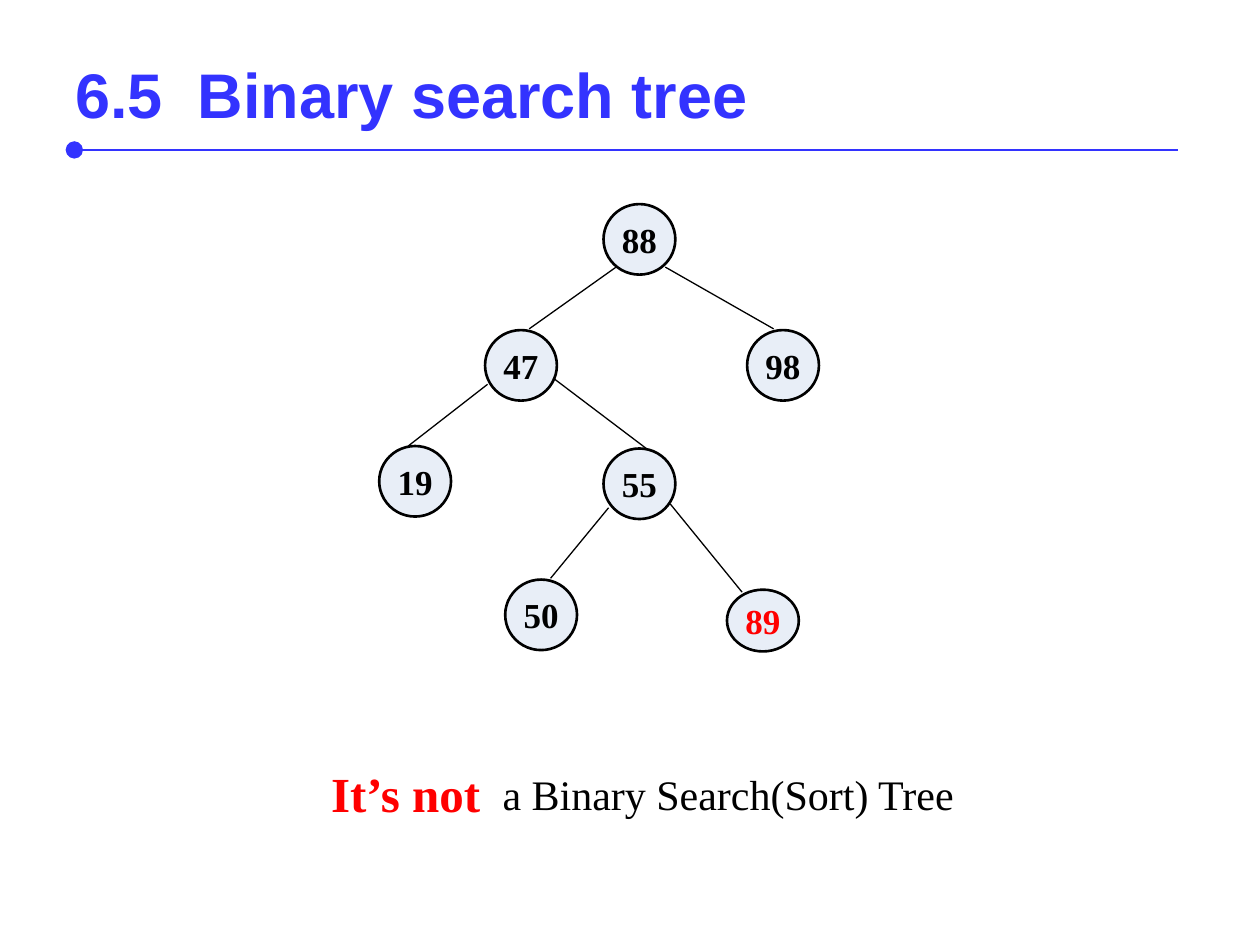
from dataclasses import dataclass

from lxml import etree
from pptx import Presentation
from pptx.dml.color import RGBColor
from pptx.enum.shapes import MSO_CONNECTOR, MSO_SHAPE
from pptx.enum.text import MSO_ANCHOR, PP_ALIGN
from pptx.oxml.ns import qn
from pptx.util import Inches, Pt

STRAIGHT = MSO_CONNECTOR.STRAIGHT
ELLIPSE = MSO_SHAPE.OVAL
MIDDLE = MSO_ANCHOR.MIDDLE
TOP = MSO_ANCHOR.TOP
CENTER = PP_ALIGN.CENTER

BLUE = "3333FF"
BLACK = "000000"
RED = "FF0000"
PALE = "E8EEF7"
SERIF = "Times New Roman"
NODE_WIDTH = 0.57


@dataclass
class Node:
    key: str
    left: float
    top: float
    height: float = 0.56
    color: str = BLACK


@dataclass
class Edge:
    start: tuple[float, float]
    end: tuple[float, float]


@dataclass
class Label:
    text: str
    left: float
    top: float
    width: float
    height: float
    size: int
    color: str
    bold: bool
    font: str = SERIF
    anchor: MSO_ANCHOR = TOP


NODES = [
    Node("88", 4.79, 1.62),
    Node("47", 3.85, 2.62),
    Node("98", 5.93, 2.62),
    Node("19", 3.01, 3.54),
    Node("55", 4.79, 3.56),
    Node("50", 4.01, 4.6),
    Node("89", 5.77, 4.68, 0.49, RED),
]

EDGES = [
    Edge((4.89, 2.12), (4.2, 2.61)),
    Edge((5.28, 2.12), (6.14, 2.61)),
    Edge((3.87, 3.05), (3.24, 3.54)),
    Edge((4.39, 3), (5.13, 3.56)),
    Edge((4.83, 4.03), (4.37, 4.59)),
    Edge((5.32, 4), (5.89, 4.7)),
]

LABELS = [
    Label("6.5  Binary search tree", 0.5, 0.3, 9, 0.88, 36, BLUE, True, "Arial", MIDDLE),
    Label("It’s not", 2.53, 6.01, 1.54, 0.57, 28, RED, True),
    Label("a Binary Search(Sort) Tree", 3.89, 6.05, 3.94, 0.5, 24, BLACK, False),
]


def rgb(value: str) -> RGBColor:
    return RGBColor.from_string(value)


def write(frame, text: str, size: int, color: str, bold: bool, font: str):
    paragraph = frame.paragraphs[0]
    paragraph.text = text
    paragraph.font.size = Pt(size)
    paragraph.font.color.rgb = rgb(color)
    paragraph.font.bold = bold
    paragraph.font.name = font
    return paragraph


def draw_line(page, edge: Edge, color: str, width: float):
    points = [Inches(value) for value in (*edge.start, *edge.end)]
    line = page.shapes.add_connector(STRAIGHT, *points)
    line.line.color.rgb = rgb(color)
    line.line.width = Pt(width)
    etree.SubElement(line._element.spPr, qn("a:effectLst"))
    return line


def draw_title_rule(page) -> None:
    rule = draw_line(page, Edge((0.59, 1.19), (9.35, 1.19)), BLUE, 1.5)
    outline = rule.line._get_or_add_ln()
    etree.SubElement(outline, qn("a:headEnd"), type="oval", w="lg", len="lg")


def draw_node(page, node: Node) -> None:
    circle = page.shapes.add_shape(
        ELLIPSE, Inches(node.left), Inches(node.top), Inches(NODE_WIDTH), Inches(node.height)
    )
    circle.shadow.inherit = False
    circle.fill.solid()
    circle.fill.fore_color.rgb = rgb(PALE)
    circle.line.color.rgb = rgb(BLACK)
    circle.line.width = Pt(1.5)
    frame = circle.text_frame
    frame.word_wrap = False
    frame.vertical_anchor = MIDDLE
    write(frame, node.key, 20, node.color, True, SERIF).alignment = CENTER


def draw_label(page, label: Label) -> None:
    box = page.shapes.add_textbox(
        Inches(label.left), Inches(label.top), Inches(label.width), Inches(label.height)
    )
    frame = box.text_frame
    frame.word_wrap = True
    frame.vertical_anchor = label.anchor
    write(frame, label.text, label.size, label.color, label.bold, label.font)


def main() -> None:
    deck = Presentation()
    deck.slide_width = Inches(10)
    deck.slide_height = Inches(7.5)
    page = deck.slides.add_slide(deck.slide_layouts[6])
    draw_title_rule(page)
    for node in NODES:
        draw_node(page, node)
    for edge in EDGES:
        draw_line(page, edge, BLACK, 0.75)
    for label in LABELS:
        draw_label(page, label)
    deck.save("out.pptx")


if __name__ == "__main__":
    main()
